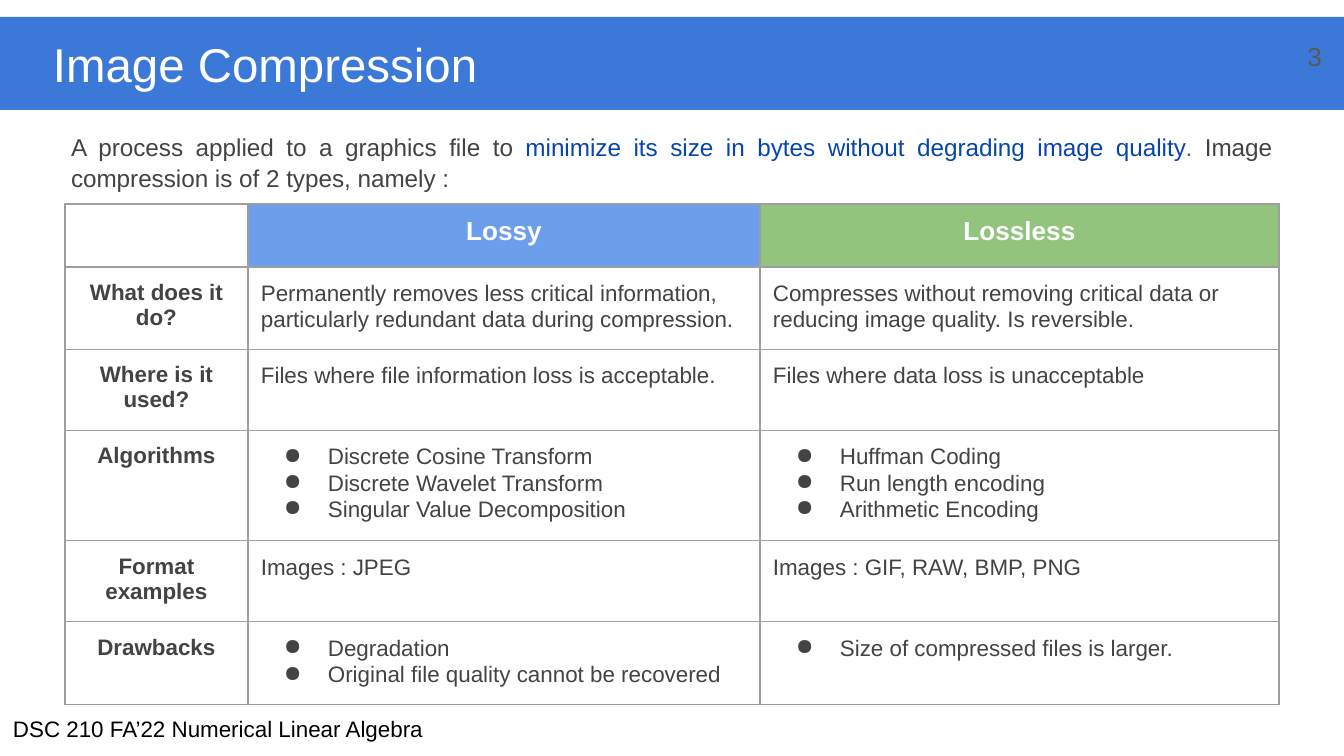
"""Build the Image Compression slide: title bar, definition and comparison table."""
from dataclasses import dataclass

from lxml import etree
from pptx import Presentation
from pptx.dml.color import RGBColor
from pptx.enum.shapes import MSO_SHAPE
from pptx.enum.text import MSO_ANCHOR, PP_ALIGN
from pptx.oxml.ns import qn
from pptx.util import Pt

LEFT, CENTER, RIGHT, JUSTIFY = PP_ALIGN.LEFT, PP_ALIGN.CENTER, PP_ALIGN.RIGHT, PP_ALIGN.JUSTIFY
TOP, MIDDLE = MSO_ANCHOR.TOP, MSO_ANCHOR.MIDDLE
RECTANGLE = MSO_SHAPE.RECTANGLE


@dataclass(frozen=True)
class Theme:
    font: str = "Arial"
    bar: str = "3C78D8"
    light: str = "FFFFFF"
    ink: str = "434343"
    soft: str = "666666"
    link: str = "0645AD"
    number: str = "595959"
    footer: str = "000000"
    lossy: str = "6D9EEB"
    lossless: str = "93C47D"
    border: str = "9E9E9E"
    title_size: float = 25.4
    head_size: float = 14
    intro_size: float = 13
    text_size: float = 12
    border_width: float = 0.75
    spacing: float = 1.05


THEME = Theme()
EMU_PER_PX = 914400 / 134.4
SLIDE = (1344, 756)
INSET = 13
BULLET_MARGIN, BULLET_HANG = 67, 44

TITLE = "Image Compression"
FOOTER = "DSC 210 FA’22 Numerical Linear Algebra"
PAGE_NUMBER = "3"
INTRO = [
    ("A process applied to a graphics file to ", THEME.ink),
    ("minimize its size in bytes without degrading image quality", THEME.link),
    (". ", THEME.soft),
    ("Image compression is of 2 types, namely :", THEME.ink),
]
HEADINGS = [("Lossy", THEME.lossy), ("Lossless", THEME.lossless)]
ROWS = [
    ("What does it do?",
     "Permanently removes less critical information, particularly redundant data during compression.",
     "Compresses without removing critical data or reducing image quality. Is reversible."),
    ("Where is it used?",
     "Files where file information loss is acceptable.",
     "Files where data loss is unacceptable"),
    ("Algorithms",
     ["Discrete Cosine Transform", "Discrete Wavelet Transform", "Singular Value Decomposition"],
     ["Huffman Coding", "Run length encoding", "Arithmetic Encoding"]),
    ("Format examples", "Images : JPEG", "Images : GIF, RAW, BMP, PNG"),
    ("Drawbacks",
     ["Degradation", "Original file quality cannot be recovered"],
     ["Size of compressed files is larger."]),
]
TABLE_AT = (65, 204)
COLUMN_WIDTHS = [183, 512, 519]
ROW_HEIGHTS = [63, 82, 81, 110, 81, 82]


def px(length):
    return round(length * EMU_PER_PX)


def rgb(value):
    return RGBColor.from_string(value)


def set_insets(target, left=INSET, top=INSET):
    target.margin_left, target.margin_right = px(left), px(INSET)
    target.margin_top = target.margin_bottom = px(top)


def write(para, spans, size, bold=False, align=LEFT):
    para.alignment = align
    for text, color in spans:
        span = para.add_run()
        span.text = text
        span.font.name, span.font.size, span.font.bold = THEME.font, Pt(size), bold
        span.font.color.rgb = rgb(color)


def set_up_frame(shape, anchor=TOP, left=INSET):
    frame = shape.text_frame
    frame.word_wrap, frame.vertical_anchor = True, anchor
    set_insets(frame, left)
    return frame.paragraphs[0]


def add_text(page, bounds, spans, size, align=LEFT, anchor=TOP):
    box = page.shapes.add_textbox(*map(px, bounds))
    para = set_up_frame(box, anchor)
    write(para, spans, size, align=align)
    return para


def add_title(page):
    bar = page.shapes.add_shape(RECTANGLE, *map(px, (0, 17, SLIDE[0], 93)))
    bar.shadow.inherit = False
    bar.fill.solid()
    bar.fill.fore_color.rgb = rgb(THEME.bar)
    bar.line.fill.background()
    para = set_up_frame(bar, MIDDLE, left=53)
    write(para, [(TITLE, THEME.light)], THEME.title_size)


def add_borders(cell):
    properties = cell._tc.get_or_add_tcPr()
    for side in ("a:lnL", "a:lnR", "a:lnT", "a:lnB"):
        line = etree.SubElement(properties, qn(side), w=str(Pt(THEME.border_width)))
        fill = etree.SubElement(line, qn("a:solidFill"))
        etree.SubElement(fill, qn("a:srgbClr"), val=THEME.border)


def add_bullet(para):
    properties = para._p.get_or_add_pPr()
    properties.set("marL", str(px(BULLET_MARGIN)))
    properties.set("indent", str(-px(BULLET_HANG)))
    color = etree.SubElement(properties, qn("a:buClr"))
    etree.SubElement(color, qn("a:srgbClr"), val=THEME.ink)
    etree.SubElement(properties, qn("a:buChar"), char="●")


def fill_content(cell, content):
    bulleted = isinstance(content, list)
    lines = content if bulleted else [content]
    frame = cell.text_frame
    for index, text in enumerate(lines):
        para = frame.add_paragraph() if index else frame.paragraphs[0]
        para.line_spacing = THEME.spacing
        if bulleted:
            add_bullet(para)
        else:
            para.space_after = Pt(12)
        write(para, [(text, THEME.ink)], THEME.text_size)


def add_comparison(page):
    bounds = (*TABLE_AT, sum(COLUMN_WIDTHS), sum(ROW_HEIGHTS))
    table = page.shapes.add_table(len(ROW_HEIGHTS), len(COLUMN_WIDTHS), *map(px, bounds)).table
    for column, width in zip(table.columns, COLUMN_WIDTHS):
        column.width = px(width)
    for row, height in zip(table.rows, ROW_HEIGHTS):
        row.height = px(height)
    for cell in table.iter_cells():
        set_insets(cell)
        add_borders(cell)
        cell.fill.background()
    set_insets(table.cell(0, 0), top=0)
    for column, (heading, color) in enumerate(HEADINGS, start=1):
        cell = table.cell(0, column)
        cell.fill.solid()
        cell.fill.fore_color.rgb = rgb(color)
        write(cell.text_frame.paragraphs[0], [(heading, THEME.light)], THEME.head_size, True, CENTER)
    for row, (label, *contents) in enumerate(ROWS, start=1):
        para = table.cell(row, 0).text_frame.paragraphs[0]
        write(para, [(label, THEME.ink)], THEME.text_size, True, CENTER)
        for column, content in enumerate(contents, start=1):
            fill_content(table.cell(row, column), content)


def main():
    deck = Presentation()
    deck.slide_width, deck.slide_height = map(px, SLIDE)
    page = deck.slides.add_slide(deck.slide_layouts[6])
    add_text(page, (0, 702, 648, 54), [(FOOTER, THEME.footer)], THEME.text_size)
    add_title(page)
    intro = add_text(page, (58, 118, 1227, 101), INTRO, THEME.intro_size, JUSTIFY)
    intro.line_spacing = THEME.spacing
    add_comparison(page)
    add_text(page, (1254, 27, 81, 58), [(PAGE_NUMBER, THEME.number)], THEME.head_size, RIGHT, MIDDLE)
    deck.save("out.pptx")


if __name__ == "__main__":
    main()
